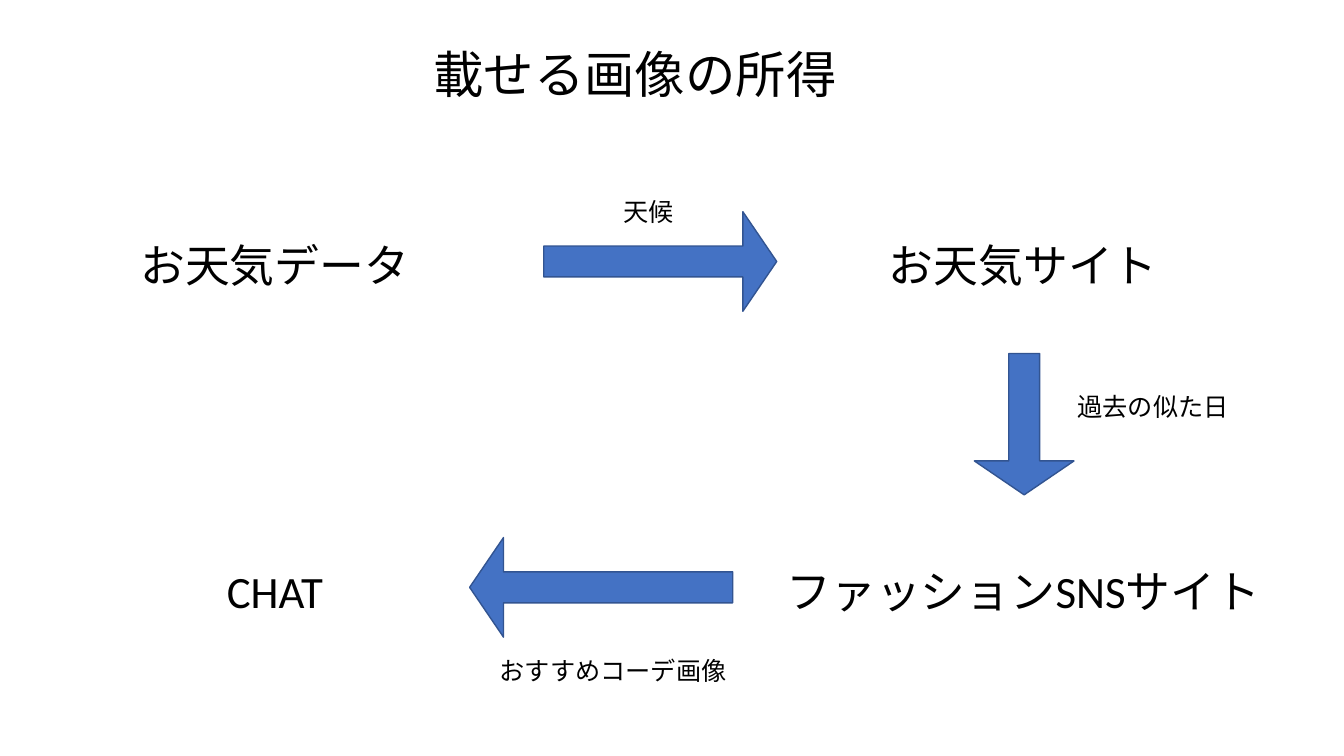
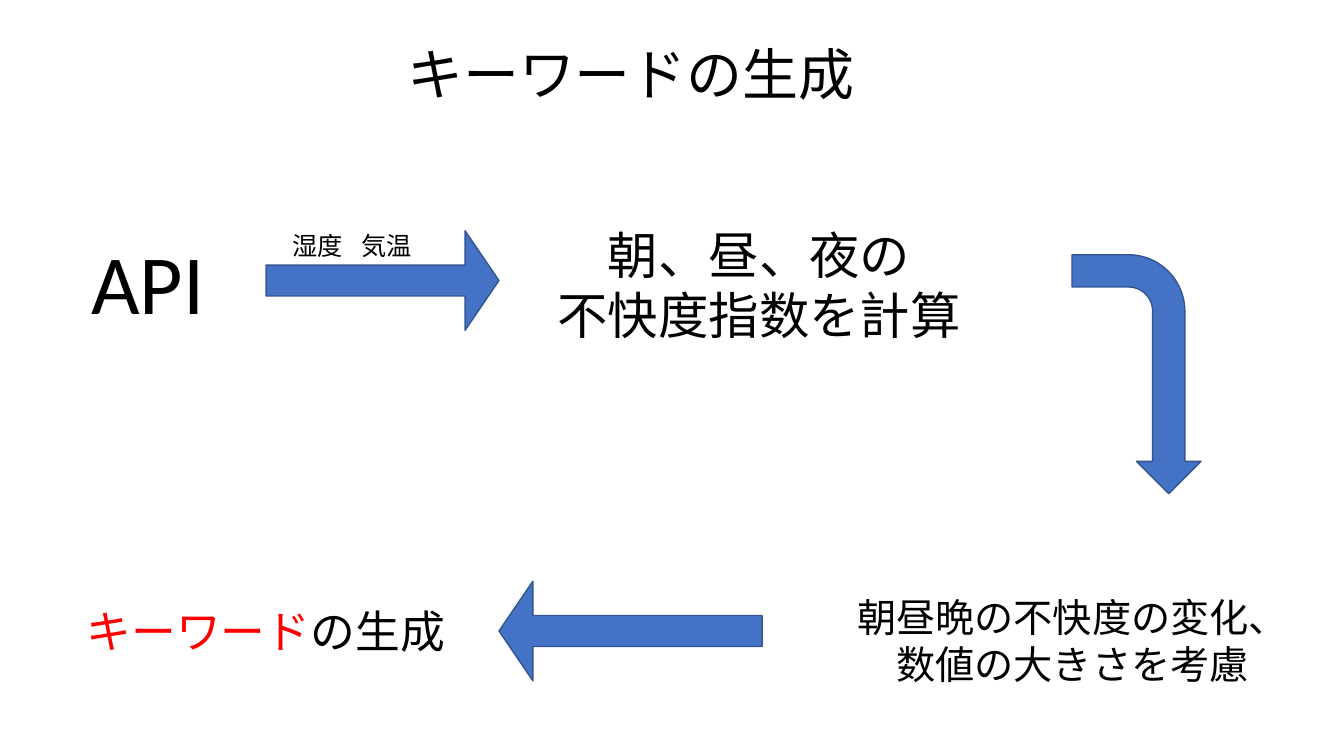
from dataclasses import dataclass
from pptx import Presentation
from pptx.dml.color import RGBColor
from pptx.enum.shapes import MSO_SHAPE as Preset
from pptx.enum.text import MSO_ANCHOR as Anchor, MSO_AUTO_SIZE as AutoSize, PP_ALIGN as Align
from pptx.shapes.autoshape import Shape
from pptx.slide import Slide
from pptx.text.text import TextFrame
from pptx.util import Cm, Pt

COLORS = {"text": "000000", "keyword": "FF0000", "arrow": "4472C4", "edge": "325491",
          "panel": "FFFFFF"}
FONT = "Calibri"
TITLE_ONLY = 5
CM_PER_POINT = 2.54 / 72
LINE_SPACING = 1.2
PADDING = 0.25  # top and bottom insets together, in cm
SMALL, NORMAL, LARGE = 18, 32, 36

# Shared columns, rows and arrow sizes, in cm
LEFT_COLUMN, RIGHT_COLUMN = 6.93, 25.79
TOP_ROW, BOTTOM_ROW = 5.87, 14.07
SHORT, LONG = 5.87, 6.63
DOWN, LEFTWARD = 90, 180


@dataclass(frozen=True)
class Words:
    text: str
    color: str = "text"


@dataclass(frozen=True)
class Caption:
    """Text panel: middle x, top and width in cm; one tuple of words per line."""
    x: float
    top: float
    width: float
    size: int
    lines: tuple[tuple[Words, ...], ...]
    wrap: bool = False
    panel: bool = True
    outlined: bool = False

    @property
    def height(self) -> float:
        return PADDING + len(self.lines) * self.size * LINE_SPACING * CM_PER_POINT


@dataclass(frozen=True)
class Arrow:
    """Arrow by its middle point, in cm, turned clockwise in degrees."""
    x: float
    y: float
    length: float
    turn: int = 0
    bent: bool = False


@dataclass(frozen=True)
class Flow:
    title: Caption
    captions: tuple[Caption, ...]
    arrows: tuple[Arrow, ...]


def plain(*texts: str) -> tuple[tuple[Words, ...], ...]:
    return tuple((Words(text),) for text in texts)


def paint(shape: Shape, fill: str, edge: str | None = None) -> None:
    shape.shadow.inherit = False
    shape.fill.solid()
    shape.fill.fore_color.rgb = RGBColor.from_string(COLORS[fill])
    if edge:
        shape.line.color.rgb = RGBColor.from_string(COLORS[edge])
        shape.line.width = Pt(1)
    else:
        shape.line.fill.background()


def write(frame: TextFrame, caption: Caption) -> None:
    frame.word_wrap = caption.wrap
    frame.auto_size = AutoSize.NONE
    frame.vertical_anchor = Anchor.TOP
    for number, line in enumerate(caption.lines):
        paragraph = frame.add_paragraph() if number else frame.paragraphs[0]
        paragraph.alignment = Align.CENTER if caption.panel else Align.LEFT
        for words in line:
            run = paragraph.add_run()
            run.text = words.text
            run.font.name = FONT
            run.font.size = Pt(caption.size)
            run.font.color.rgb = RGBColor.from_string(COLORS[words.color])


def draw_title(slide: Slide, title: Caption) -> None:
    heading = slide.shapes.title
    heading.left, heading.top = Cm(title.x - title.width / 2), Cm(title.top)
    heading.width, heading.height = Cm(title.width), Cm(title.height)
    paint(heading, "panel")
    write(heading.text_frame, title)


def draw_caption(slide: Slide, caption: Caption) -> None:
    place = (Cm(caption.x - caption.width / 2), Cm(caption.top),
             Cm(caption.width), Cm(caption.height))
    if caption.panel:
        box = slide.shapes.add_shape(Preset.RECTANGLE, *place)
        paint(box, "panel", "panel" if caption.outlined else None)
    else:
        box = slide.shapes.add_textbox(*place)
    write(box.text_frame, caption)


def draw_arrow(slide: Slide, arrow: Arrow) -> None:
    preset, thickness = (Preset.BENT_ARROW, 3.25) if arrow.bent else (Preset.RIGHT_ARROW, 2.51)
    shape = slide.shapes.add_shape(
        preset, Cm(arrow.x - arrow.length / 2), Cm(arrow.y - thickness / 2),
        Cm(arrow.length), Cm(thickness))
    shape.rotation = arrow.turn
    if not arrow.bent:
        shape.adjustments[0], shape.adjustments[1] = 0.31, 0.34
    paint(shape, "arrow", "edge")


FLOWS = (
    # Fetching the images
    Flow(
        Caption(16, 0.97, 10.77, LARGE, plain("載せる画像の所得")),
        (
            Caption(LEFT_COLUMN, TOP_ROW, 7.34, NORMAL, plain("お天気データ")),
            Caption(RIGHT_COLUMN, TOP_ROW, 7.34, NORMAL, plain("お天気サイト")),
            Caption(RIGHT_COLUMN, BOTTOM_ROW, 12.55, NORMAL,
                    plain("ファッションSNSサイト"), wrap=True),
            Caption(LEFT_COLUMN, BOTTOM_ROW, 2.57, NORMAL, plain("CHAT")),
            Caption(16.34, 4.83, 1.8, SMALL, plain("天候")),
            Caption(29.06, 9.73, 4.37, SMALL, plain("過去の似た日")),
            Caption(15.45, 16.38, 6.27, SMALL, plain("おすすめコーデ画像")),
        ),
        (
            Arrow(16.64, 6.59, SHORT),
            Arrow(25.81, 10.69, 3.56, DOWN),
            Arrow(15.15, 14.8, LONG, LEFTWARD),
        ),
    ),
    # Generating the keyword
    Flow(
        Caption(15.9, 0.86, 11.91, 40, plain("キーワードの生成")),
        (
            Caption(3.73, 5.69, 3.4, 60, plain("API"), outlined=True),
            Caption(8.01, 5.69, 1.8, SMALL, plain("湿度"), panel=False),
            Caption(9.76, 5.69, 1.8, SMALL, plain("気温"), panel=False),
            Caption(19.13, 5.52, 10.77, LARGE,
                    plain("朝、昼、夜の", "不快度指数を計算"), outlined=True),
            Caption(6.7, 15.09, 9.63, NORMAL,
                    ((Words("キーワード", "keyword"), Words("の生成")),), outlined=True),
            Caption(27.03, 14.82, 11.73, 28,
                    plain("朝昼晩の不快度の変化、", "数値の大きさを考慮"), wrap=True),
        ),
        (
            Arrow(9.64, 7.07, SHORT),
            Arrow(28.64, 9.43, 6.02, DOWN, bent=True),
            Arrow(15.89, 15.9, LONG, LEFTWARD),
        ),
    ),
)

deck = Presentation()
deck.slide_width, deck.slide_height = Cm(33.87), Cm(19.05)
for flow in FLOWS:
    page = deck.slides.add_slide(deck.slide_layouts[TITLE_ONLY])
    draw_title(page, flow.title)
    for caption in flow.captions:
        draw_caption(page, caption)
    for arrow in flow.arrows:
        draw_arrow(page, arrow)
deck.save("out.pptx")
